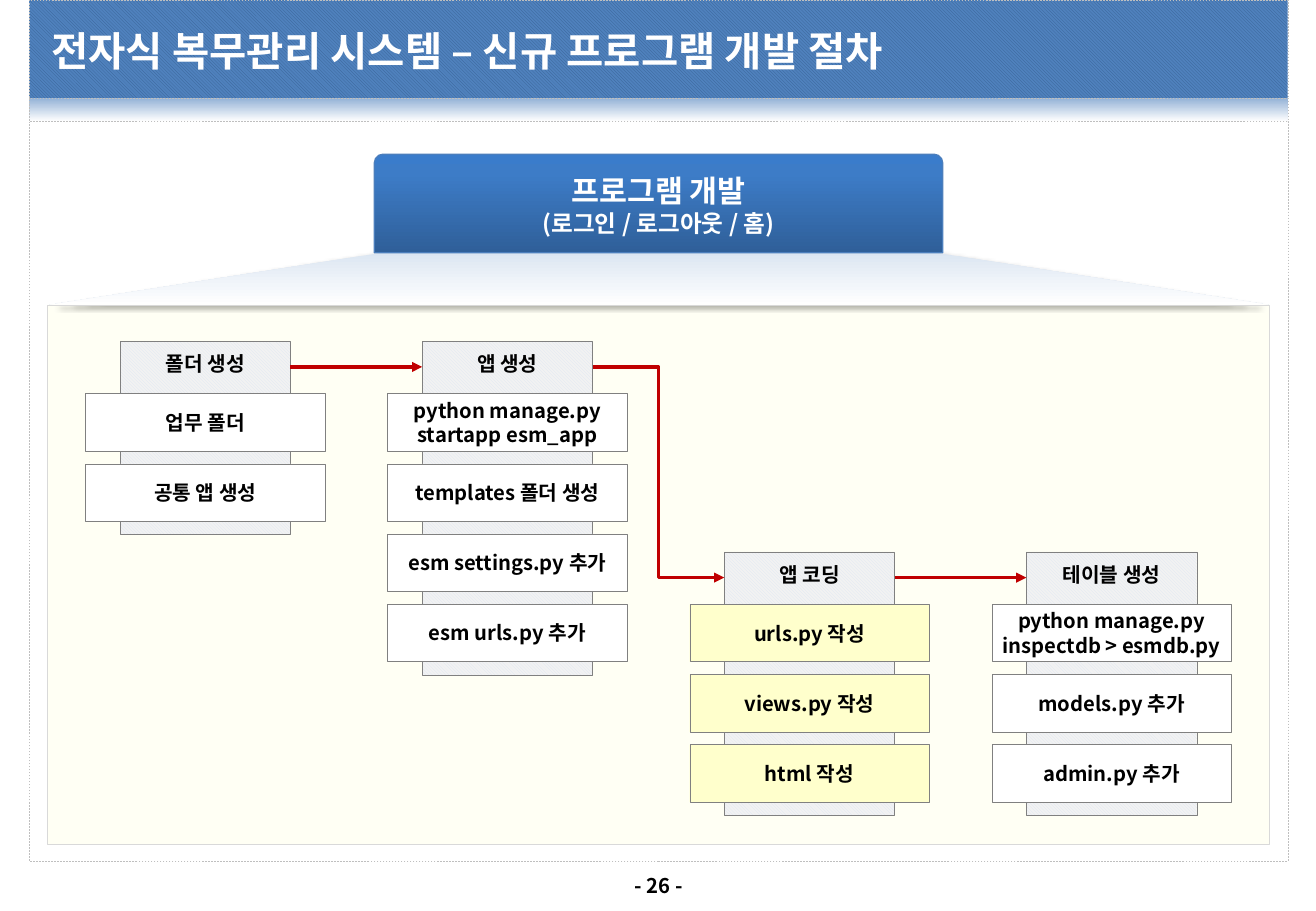
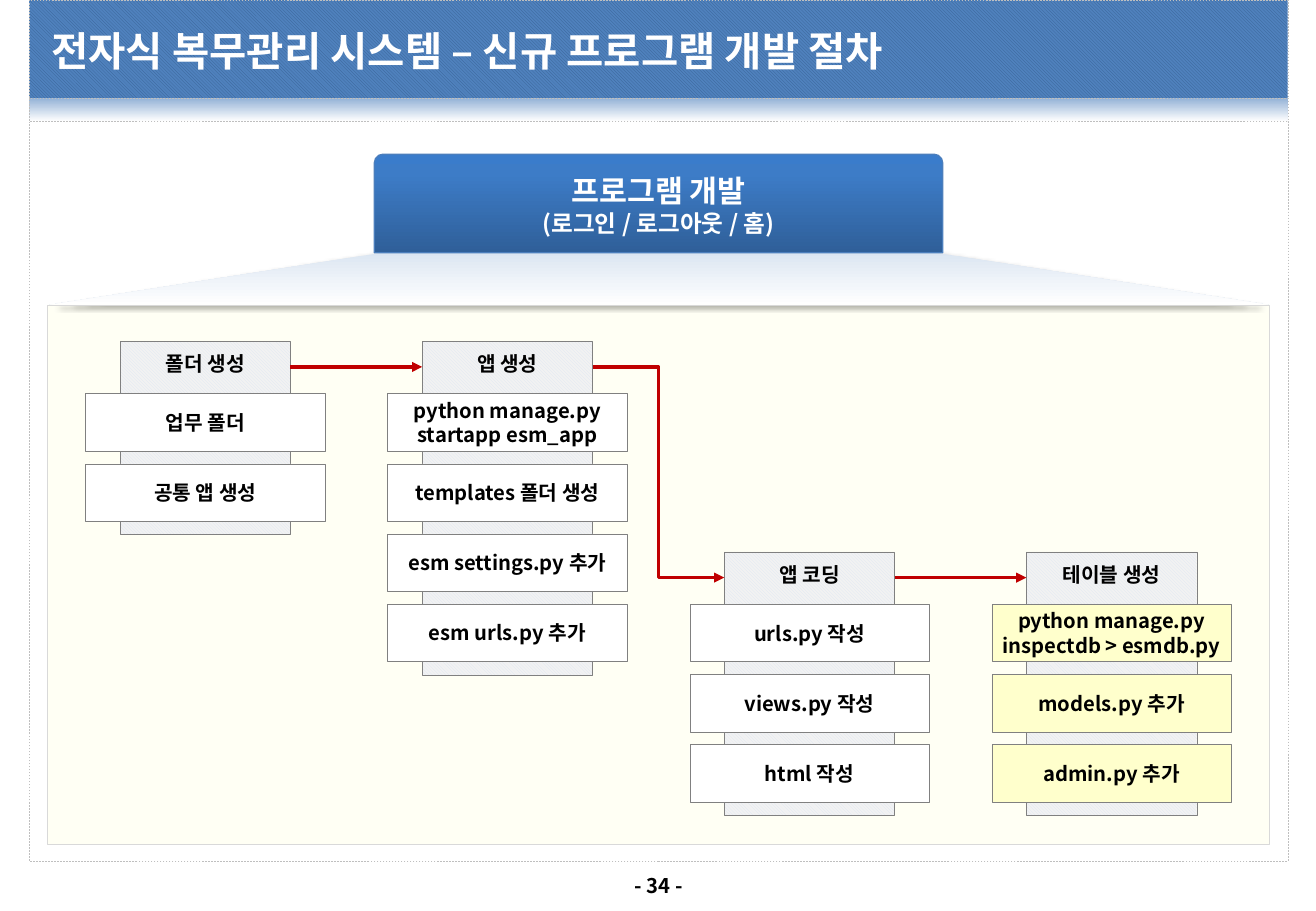
"""Build two slides that show the procedure for developing a new program."""
from copy import deepcopy
from dataclasses import dataclass

from lxml.etree import SubElement
from pptx import Presentation
from pptx.dml.color import RGBColor
from pptx.enum.dml import MSO_LINE, MSO_PATTERN
from pptx.enum.shapes import MSO_CONNECTOR as CONNECTOR, MSO_SHAPE as SHAPE
from pptx.enum.text import MSO_ANCHOR as ANCHOR, PP_ALIGN as ALIGN
from pptx.oxml.ns import qn
from pptx.util import Pt


@dataclass(frozen=True)
class Theme:
    font: str = "Noto Sans CJK KR"
    white: str = "FFFFFF"
    black: str = "000000"
    cream: str = "FFFFCC"
    arrow: str = "C00000"
    frame_line: tuple = ("BFBFBF", 0.25, MSO_LINE.DASH)
    panel_line: tuple = ("D9D9D9", 0.25, None)
    step_line: tuple = ("808080", 0.25, None)
    button_line: tuple = ("4B7EBC", 0.75, None)
    header_pattern: tuple = ("376092", "4F81BD")
    step_pattern: tuple = ("DCE6F2", "F2F2F2")
    band_gradient: tuple = ((0, "95B3D7"), (1, "FFFFFF"))
    beam_gradient: tuple = ((0, "DCE6F2"), (1, "FFFFFF"))
    button_gradient: tuple = ((0, "3A7CCB"), (0.2, "3D7CC7"), (1, "2F5F99"))
    title_size: int = 24
    button_size: int = 18
    detail_size: int = 14
    body_size: int = 12


THEME = Theme()


def add_box(slide, preset, frame, line=None, solid=None, pattern=None, gradient=None):
    """Add a preset shape with one kind of fill and an optional outline."""
    shape = slide.shapes.add_shape(preset, *map(Pt, frame))
    shape.shadow.inherit = False
    fill = shape.fill
    if pattern:
        fill.patterned()
        fill.pattern = MSO_PATTERN.LIGHT_DOWNWARD_DIAGONAL
        fill.fore_color.rgb, fill.back_color.rgb = map(RGBColor.from_string, pattern)
    elif gradient:
        fill.gradient()
        fill.gradient_angle = 270
        stop_list = shape._element.spPr.find(".//" + qn("a:gsLst"))
        for _ in gradient[2:]:
            stop_list.append(deepcopy(stop_list[-1]))
        for stop, (position, color) in zip(fill.gradient_stops, gradient):
            stop.position = position
            stop.color.rgb = RGBColor.from_string(color)
    else:
        fill.solid()
        fill.fore_color.rgb = RGBColor.from_string(solid)
    if line:
        color, width, dash = line
        shape.line.color.rgb = RGBColor.from_string(color)
        shape.line.width = Pt(width)
        shape.line.dash_style = dash
    else:
        shape.line.fill.background()
    return shape


def write_text(shape, lines, color=THEME.black, align=ALIGN.CENTER,
               anchor=ANCHOR.MIDDLE, wrap=True, inset=3):
    """Write one paragraph for each (text, size) pair."""
    text_frame = shape.text_frame
    text_frame.word_wrap = wrap
    text_frame.vertical_anchor = anchor
    text_frame.margin_left = text_frame.margin_right = Pt(3)
    text_frame.margin_top = text_frame.margin_bottom = Pt(inset)
    for index, (text, size) in enumerate(lines):
        paragraph = text_frame.add_paragraph() if index else text_frame.paragraphs[0]
        paragraph.alignment = align
        run = paragraph.add_run()
        run.text = text
        run.font.size = Pt(size)
        run.font.bold = True
        run.font.color.rgb = RGBColor.from_string(color)
        run.font.name = THEME.font
        SubElement(run._r.get_or_add_rPr(), qn("a:ea"), typeface=THEME.font)


TITLE = "전자식 복무관리 시스템 – 신규 프로그램 개발 절차"
BUTTON_LINES = [("프로그램 개발", THEME.button_size),
                ("(로그인 / 로그아웃 / 홈)", THEME.detail_size)]
UPPER, LOWER = 202.3, 327.2
STEPS = [
    ("폴더 생성", UPPER, ["업무 폴더", "공통 앱 생성"]),
    ("앱 생성", UPPER, ["python manage.py startapp esm_app", "templates 폴더 생성",
                     "esm settings.py 추가", "esm urls.py 추가"]),
    ("앱 코딩", LOWER, ["urls.py 작성", "views.py 작성", "html 작성"]),
    ("테이블 생성", LOWER, ["python manage.py inspectdb > esmdb.py",
                       "models.py 추가", "admin.py 추가"]),
]
PAGES = [("- 26 -", 2), ("- 34 -", 3)]

FRAME_LEFT, FRAME_WIDTH = 17.3, 746
STEP_LEFT, STEP_PITCH, STEP_WIDTH = 71.2, 179.05, 101
TASK_WIDTH, TASK_HEIGHT, TASK_PITCH, TASK_OFFSET = 142, 34, 41.6, 31
ARROW_OFFSET, STEP_FOOT = 15.2, 8

presentation = Presentation()
presentation.slide_width, presentation.slide_height = Pt(780), Pt(540)

for page_number, highlighted in PAGES:
    slide = presentation.slides.add_slide(presentation.slide_layouts[6])

    add_box(slide, SHAPE.RECTANGLE, (FRAME_LEFT, 72, FRAME_WIDTH, 438.5),
            THEME.frame_line, solid=THEME.white)
    add_box(slide, SHAPE.RECTANGLE, (FRAME_LEFT, 0, FRAME_WIDTH, 58.3),
            THEME.frame_line, pattern=THEME.header_pattern)
    add_box(slide, SHAPE.RECTANGLE, (FRAME_LEFT, 58.3, FRAME_WIDTH, 13.7),
            THEME.frame_line, gradient=THEME.band_gradient)
    title = slide.shapes.add_textbox(Pt(27.4), Pt(5.8), Pt(726.5), Pt(47.5))
    write_text(title, [(TITLE, THEME.title_size)], THEME.white, ALIGN.LEFT)
    footer = slide.shapes.add_textbox(Pt(365.8), Pt(514), Pt(49), Pt(21.8))
    write_text(footer, [(page_number, THEME.body_size)], wrap=False)

    beam = add_box(slide, SHAPE.TRAPEZOID, (28.8, 149.8, 723.6, 31),
                   gradient=THEME.beam_gradient)
    beam.adjustments[0] = 6.38
    effects = beam._element.spPr.find(qn("a:effectLst"))
    shadow = SubElement(effects, qn("a:outerShdw"), blurRad=str(Pt(3.1)),
                        dist=str(Pt(1.6)), dir="5400000", rotWithShape="0")
    shadow_color = SubElement(shadow, qn("a:srgbClr"), val=THEME.black)
    SubElement(shadow_color, qn("a:alpha"), val="38000")

    button = add_box(slide, SHAPE.ROUND_2_SAME_RECTANGLE, (221.8, 91.4, 337, 58.4),
                     THEME.button_line, gradient=THEME.button_gradient)
    button.adjustments[0] = 0.09
    write_text(button, BUTTON_LINES, THEME.white, wrap=False)

    panel = add_box(slide, SHAPE.RECTANGLE, (28.1, 180.7, 724.3, 319.7),
                    THEME.panel_line, solid=THEME.cream)
    panel_color = panel._element.spPr.find(qn("a:solidFill")).find(qn("a:srgbClr"))
    SubElement(panel_color, qn("a:alpha"), val="20000")

    for column, (heading, top, tasks) in enumerate(STEPS):
        left = STEP_LEFT + column * STEP_PITCH
        height = TASK_OFFSET + (len(tasks) - 1) * TASK_PITCH + TASK_HEIGHT + STEP_FOOT
        step = add_box(slide, SHAPE.RECTANGLE, (left, top, STEP_WIDTH, height),
                       THEME.step_line, pattern=THEME.step_pattern)
        write_text(step, [(heading, THEME.body_size)], anchor=ANCHOR.TOP,
                   wrap=False, inset=6)

        task_left = left - (TASK_WIDTH - STEP_WIDTH) / 2
        task_fill = THEME.cream if column == highlighted else THEME.white
        for row, task_text in enumerate(tasks):
            task_top = top + TASK_OFFSET + row * TASK_PITCH
            task = add_box(slide, SHAPE.RECTANGLE,
                           (task_left, task_top, TASK_WIDTH, TASK_HEIGHT),
                           THEME.step_line, solid=task_fill)
            write_text(task, [(task_text, THEME.body_size)])

        if column:
            previous_top = STEPS[column - 1][1]
            kind = CONNECTOR.STRAIGHT if previous_top == top else CONNECTOR.ELBOW
            arrow = slide.shapes.add_connector(
                kind, Pt(left - STEP_PITCH + STEP_WIDTH), Pt(previous_top + ARROW_OFFSET),
                Pt(left), Pt(top + ARROW_OFFSET))
            arrow.line.color.rgb = RGBColor.from_string(THEME.arrow)
            arrow.line.width = Pt(2)
            SubElement(arrow.line._get_or_add_ln(), qn("a:tailEnd"), type="triangle")
            SubElement(arrow._element.spPr, qn("a:effectLst"))

presentation.save("out.pptx")
